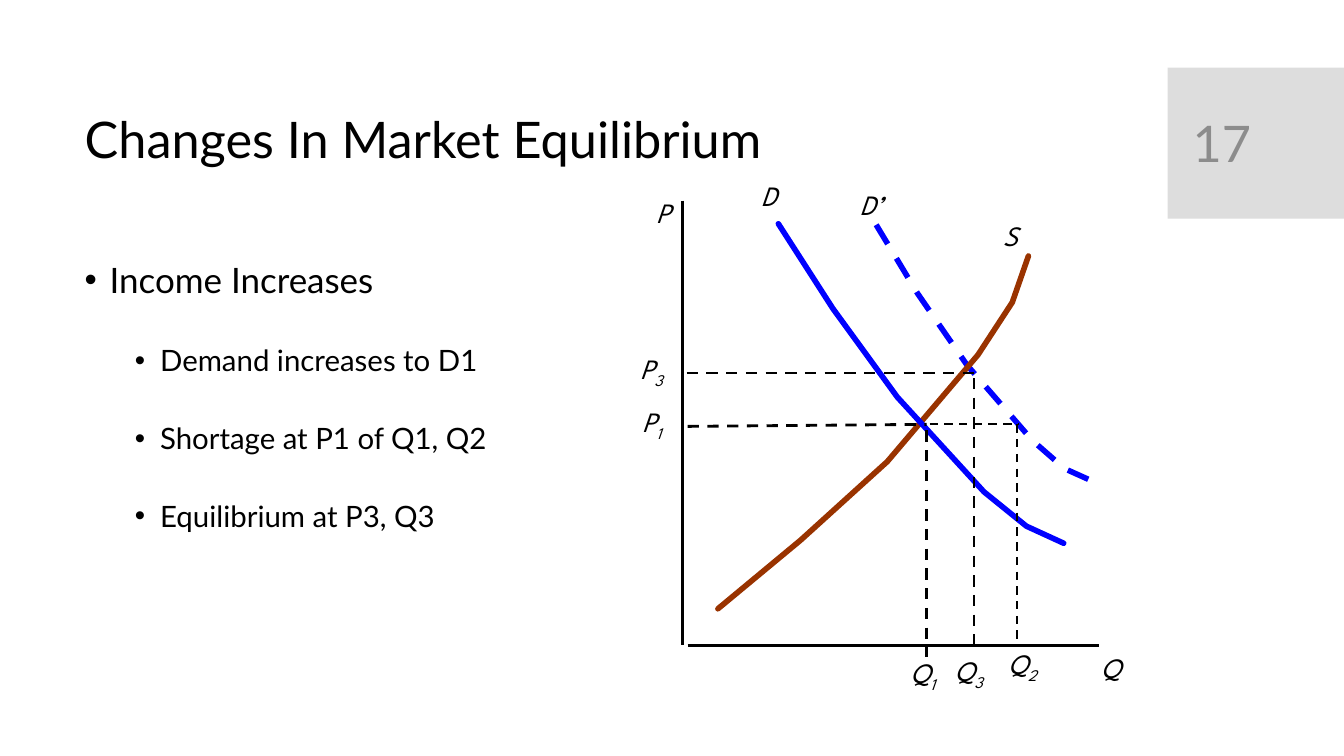
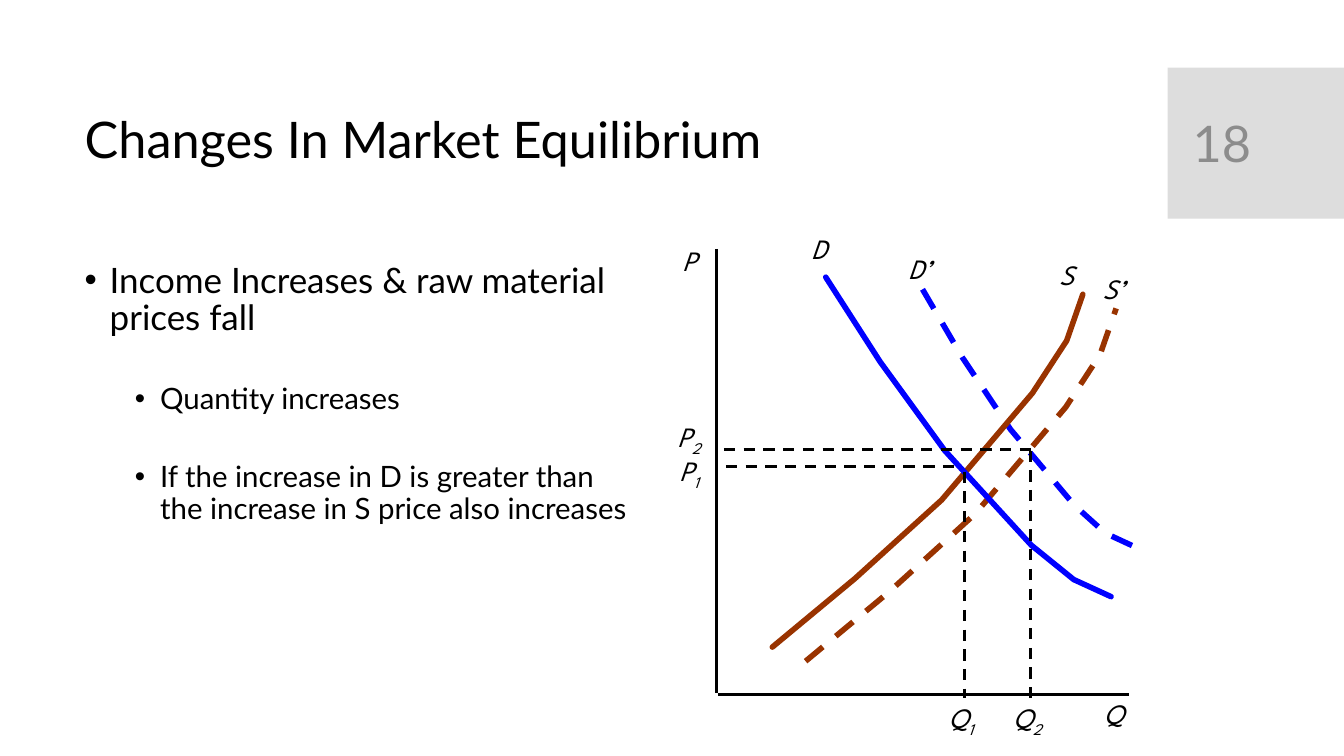
"""Build two slides on shifts of market equilibrium."""
from dataclasses import dataclass

from lxml.etree import SubElement
from pptx import Presentation
from pptx.dml.color import RGBColor
from pptx.enum.dml import MSO_LINE
from pptx.enum.shapes import MSO_CONNECTOR, MSO_SHAPE
from pptx.enum.text import MSO_ANCHOR, MSO_AUTO_SIZE, PP_ALIGN
from pptx.oxml.ns import qn
from pptx.util import Inches, Pt


@dataclass(frozen=True)
class Theme:
    ink: RGBColor = RGBColor(0, 0, 0)
    band: RGBColor = RGBColor(0xDD, 0xDD, 0xDD)
    number: RGBColor = RGBColor(0x8C, 0x8C, 0x8C)
    demand: RGBColor = RGBColor(0, 0, 0xFF)
    supply: RGBColor = RGBColor(0x99, 0x33, 0)
    face: str = "Lato"
    label: str = "League Spartan"
    head: Pt = Pt(36)
    main: Pt = Pt(25)
    sub: Pt = Pt(21)
    mark: Pt = Pt(20)
    curve: Pt = Pt(4)


theme = Theme()


def style(font, size, color=theme.ink, face=theme.face):
    font.size, font.name = size, face
    font.color.rgb = color


def paint(line, color, width, dash):
    line.color.rgb, line.width = color, width
    if dash:
        line.dash_style = MSO_LINE.DASH


falling = [(0, 0), (0.54, 0.84), (1.18, 1.72), (2.04, 2.66), (2.46, 3), (2.83, 3.17)]
rising = [(0, 0), (0.82, -0.68), (1.68, -1.46), (2.58, -2.52), (2.92, -3.04), (3.08, -3.5)]
moved = [(0, 0), (0.41, 0.68), (0.9, 1.39), (1.55, 2.14), (1.87, 2.42), (2.16, 2.55)]
narrow = [(0.97 * x, y) for x, y in moved]
widths = {"P": 0.37, "Q": 0.44, "D": 0.41, "S": 0.34, "D’": 0.51, "S’": 0.44, "P_": 0.47, "Q_": 0.55}

pages = [
    {
        "number": "17",
        "points": ["Income Increases", "Demand increases to D1",
                   "Shortage at P1 of Q1, Q2", "Equilibrium at P3, Q3"],
        "curves": [(moved, 8.69, 2.23, theme.demand, True),
                   (rising, 7.12, 6.04, theme.supply, False),
                   (falling, 7.72, 2.22, theme.demand, False)],
        "lines": [(6.77, 1.99, 6.77, 6.4, 2, False), (6.82, 6.4, 10.9, 6.4, 2, False),
                  (6.81, 3.7, 9.66, 3.7, 2, True), (9.66, 3.75, 9.66, 6.44, 2, True),
                  (6.82, 4.23, 9.19, 4.21, 2, True), (9.19, 4.27, 9.19, 6.52, 2, True),
                  (9.22, 4.21, 10.11, 4.21, 1.5, True), (10.09, 4.21, 10.09, 6.42, 1.5, True)],
        "labels": [("P", 6.41, 1.89), ("Q", 10.82, 6.4), ("D", 7.45, 1.72), ("D’", 8.43, 1.81),
                   ("S", 9.85, 2.12), ("P_3", 6.25, 3.44), ("P_1", 6.27, 3.96),
                   ("Q_1", 8.93, 6.45), ("Q_3", 9.37, 6.43), ("Q_2", 9.9, 6.36)],
    },
    {
        "number": "18",
        "points": ["Income Increases & raw material prices fall", "Quantity increases",
                   "If the increase in D is greater than the increase in S price also increases"],
        "curves": [(narrow, 9.15, 2.87, theme.demand, True),
                   (rising, 7.99, 6.56, theme.supply, True),
                   (rising, 7.66, 6.42, theme.supply, False),
                   (falling, 8.19, 2.75, theme.demand, False)],
        "lines": [(7.11, 2.47, 7.11, 6.88, 2, False), (7.12, 6.89, 11.2, 6.89, 2, False),
                  (7.18, 4.46, 10.26, 4.46, 2, True), (10.22, 4.47, 10.22, 6.92, 2, True),
                  (7.2, 4.63, 9.53, 4.63, 2, True), (9.57, 4.68, 9.57, 6.92, 2, True)],
        "labels": [("P", 6.67, 2.37), ("Q", 10.85, 6.86), ("D", 7.95, 2.25), ("D’", 8.91, 2.45),
                   ("S", 10.41, 2.51), ("S’", 10.84, 2.64), ("P_2", 6.62, 4.11),
                   ("P_1", 6.64, 4.45), ("Q_1", 9.31, 6.9), ("Q_2", 9.95, 6.9)],
    },
]

deck = Presentation()
deck.slide_width, deck.slide_height = Inches(13.33), Inches(7.5)
layout = deck.slide_layouts[5]

for page in pages:
    slide = deck.slides.add_slide(layout)
    shapes = slide.shapes

    if page is pages[0]:
        band = shapes.add_shape(MSO_SHAPE.RECTANGLE, Inches(11.58), Inches(0.67), Inches(1.75), Inches(1.5))
        band.shadow.inherit = False
        band.fill.solid()
        band.fill.fore_color.rgb = theme.band
        band.line.fill.background()
        layout.shapes.element.insert(2, band.element)

    title = shapes.title
    title.left, title.top = Inches(0.74), Inches(0.82)
    title.width, title.height = Inches(10.51), Inches(1.18)
    title.text_frame.text = "Changes In Market Equilibrium"
    title.text_frame.vertical_anchor = MSO_ANCHOR.MIDDLE
    para = title.text_frame.paragraphs[0]
    para.alignment, para.line_spacing = PP_ALIGN.LEFT, 0.9
    style(para.font, theme.head)

    body = shapes.add_textbox(Inches(0.74), Inches(2.56), Inches(5.64), Inches(3.94)).text_frame
    body.word_wrap = True
    for rank, point in enumerate(page["points"]):
        para = body.add_paragraph() if rank else body.paragraphs[0]
        para.text = point
        para.level = 1 if rank else 0
        para.line_spacing = 0.9
        para.space_before = Pt(32.7 if rank else 0)
        props = para._p.get_or_add_pPr()
        props.set("marL", str(Inches(0.75 if rank else 0.25)))
        props.set("indent", str(Inches(-0.25)))
        SubElement(props, qn("a:buFont"), typeface="Arial")
        SubElement(props, qn("a:buChar"), char="•")
        style(para.font, theme.sub if rank else theme.main)

    for steps, left, top, color, dash in page["curves"]:
        spots = [(Inches(left + x), Inches(top + y)) for x, y in steps]
        pen = shapes.build_freeform(*spots[0])
        pen.add_line_segments(spots[1:], close=False)
        curve = pen.convert_to_shape()
        curve.shadow.inherit = False
        curve.fill.background()
        paint(curve.line, color, theme.curve, dash)
        if not dash:
            stroke = curve.element.spPr.find(qn("a:ln"))
            stroke.set("cap", "rnd")
            SubElement(stroke, qn("a:round"))

    for *ends, width, dash in page["lines"]:
        rule = shapes.add_connector(MSO_CONNECTOR.STRAIGHT, *map(Inches, ends))
        paint(rule.line, theme.ink, Pt(width), dash)
        SubElement(rule.element.spPr, qn("a:effectLst"))

    for text, left, top in page["labels"]:
        name, mark, index = text.partition("_")
        box = shapes.add_textbox(Inches(left), Inches(top), Inches(widths[name + mark]), Inches(0.43))
        frame = box.text_frame
        frame.word_wrap = False
        frame.auto_size = MSO_AUTO_SIZE.SHAPE_TO_FIT_TEXT
        para = frame.paragraphs[0]
        para.add_run().text = name
        if index:
            run = para.add_run()
            run.text = index
            run.font._element.set("baseline", "-25000")
        style(para.font, theme.mark, face=theme.label)
        para.font.italic = True

    box = shapes.add_textbox(Inches(11.73), Inches(0.82), Inches(1.26), Inches(1.19))
    frame = box.text_frame
    frame.word_wrap = True
    frame.vertical_anchor = MSO_ANCHOR.MIDDLE
    frame.text = page["number"]
    style(frame.paragraphs[0].font, theme.head, theme.number)

deck.save("out.pptx")
